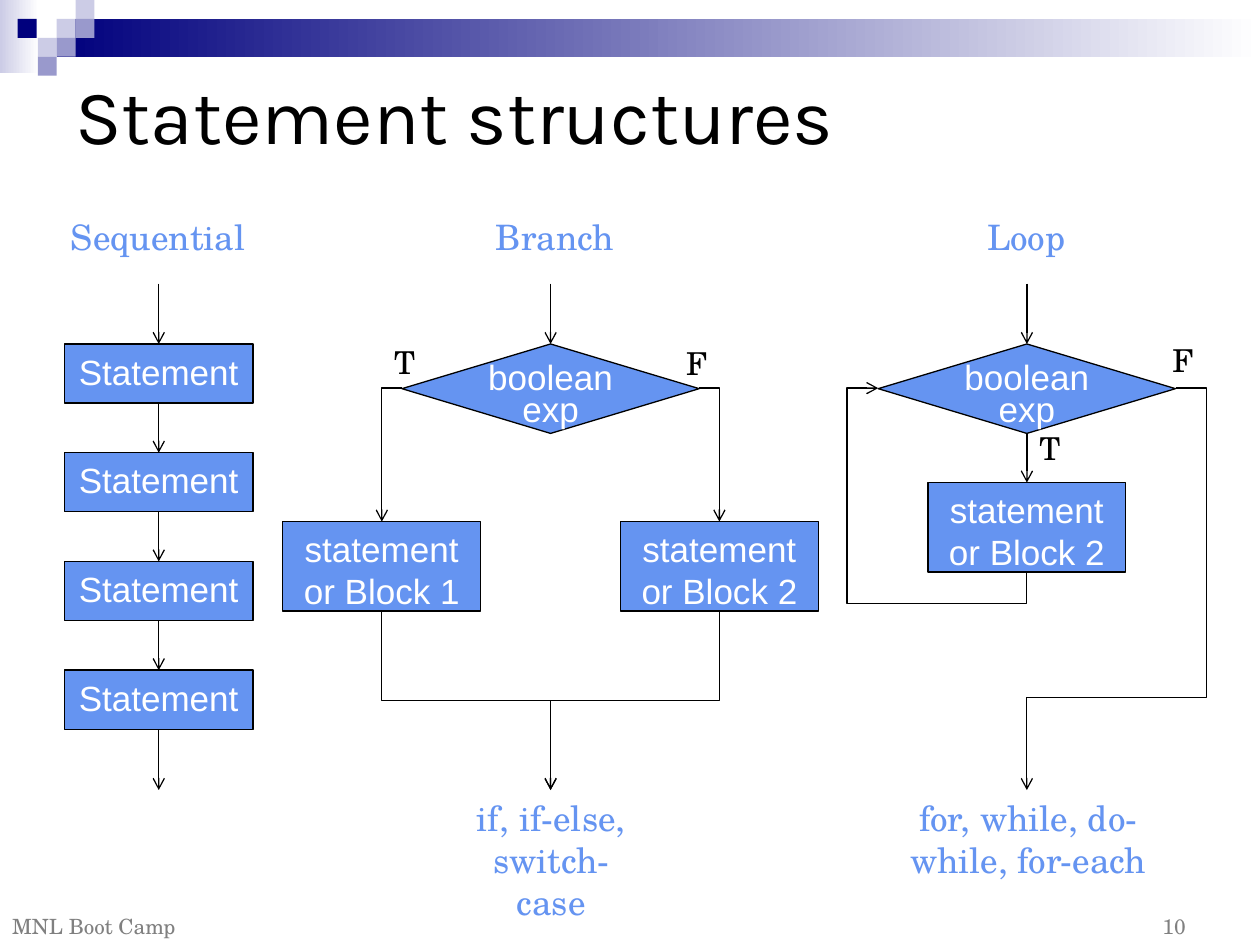
from lxml import etree
from pptx import Presentation, util as u
from pptx.dml.color import RGBColor
from pptx.enum import shapes, text
from pptx.oxml.ns import qn

THEME = {
    "blue": "6594F1", "black": "000000", "white": "FFFFFF", "grey": "808080",
    "navy": "00007D", "lilac": "CCCCE6", "violet": "9999CC",
    "title": 44, "body": 20, "label": 18, "footer": 12, "line": 0.75,
    "head_font": "Karla", "text_font": "TeX Gyre Schola", "box_font": "Arial",
}
LEFT, CENTER, RIGHT = text.PP_ALIGN.LEFT, text.PP_ALIGN.CENTER, text.PP_ALIGN.RIGHT
TOP, MIDDLE, BOTTOM = text.MSO_ANCHOR.TOP, text.MSO_ANCHOR.MIDDLE, text.MSO_ANCHOR.BOTTOM
RECT, DECISION = shapes.MSO_SHAPE.RECTANGLE, shapes.MSO_SHAPE.FLOWCHART_DECISION

# Column centres and shared heights of the three flowcharts
SEQ_X, BRANCH_X, LOOP_X = 1.26, 4.37, 8.15
ENTRY_Y, FIRST_Y, EXIT_Y = 2.25, 2.73, 6.27
STATEMENT = {"text": "Statement;", "count": 4, "w": 1.5, "h": 0.47, "step": 0.863}
BLOCK_W, BLOCK_H, DECISION_W = 1.57, 0.71, 2.36

GRADIENT_BARS = [((0, 0, 0.31, 0.58), "lilac"), ((0.45, 0.15, 9.55, 0.3), "navy")]
TILE = 0.15
TILES = [(0.45, 0.15, "lilac"), (0.6, 0, "lilac"), (0.6, 0.15, "violet"),
         (0.3, 0.3, "lilac"), (0.14, 0.15, "navy"), (0.45, 0.3, "violet"),
         (0.3, 0.45, "violet")]

DECISIONS = [(BRANCH_X, "boolean exp"), (LOOP_X, "boolean exp")]
BLOCKS = [(3.03, 4.14, "statement or Block 1"), (5.71, 4.14, "statement or Block 2"),
          (LOOP_X, 3.83, "statement or Block 2")]

# bends, box before rotation, rotation, flip, adjustments
ELBOWS = [
    (2, (3.03, 3.08, 0.16, 1.06), 180, "flipV", ()),
    (2, (5.55, 3.08, 0.16, 1.06), 0, None, ()),
    (3, (2.99, 4.89, 1.42, 1.34), 270, "flipH", (0.5,)),
    (3, (4.33, 4.89, 1.42, 1.34), 90, None, (0.5,)),
    (4, (6.83, 3.22, 1.46, 1.18), 90, "flipH", (-0.17, 1.21)),
    (4, (8.15, 3.08, 1.18, 3.19), 0, "flipH", (-0.21, 0.77)),
]

# text, box, size, colour, alignment, anchor
TEXTS = [
    ("Statement structures", (0.5, 0.5, 9, 0.81), "title", "black", LEFT, MIDDLE),
    ("MNL Boot Camp", (-0.04, 7.14, 1.57, 0.36), "footer", "grey", CENTER, BOTTOM),
    ("10", (7.18, 7.15, 2.33, 0.35), "footer", "grey", RIGHT, BOTTOM),
    ("T", (3.03, 2.67, 0.55, 0.4), "label", "black", LEFT, TOP),
    ("F", (5.16, 2.68, 0.55, 0.4), "label", "black", RIGHT, TOP),
    ("T", (8.15, 3.36, 0.55, 0.4), "label", "black", LEFT, TOP),
    ("F", (9.02, 2.66, 0.55, 0.4), "label", "black", RIGHT, TOP),
    ("Sequential", (0.43, 1.66, 1.65, 0.44), "body", "blue", CENTER, TOP),
    ("Branch", (3.58, 1.66, 1.65, 0.44), "body", "blue", CENTER, TOP),
    ("Loop", (7.32, 1.66, 1.65, 0.44), "body", "blue", CENTER, TOP),
    ("if, if-else, switch-case", (3.55, EXIT_Y, 1.65, 0.77), "body", "blue", CENTER, TOP),
    ("for, while, do-while, for-each", (7.02, EXIT_Y, 2.28, 0.77), "body", "blue", CENTER, TOP),
]


def rgb(name):
    return RGBColor.from_string(THEME[name])


def inches(values):
    return [u.Inches(v) for v in values]


def write(sp, words, size, colour, font, align, anchor):
    tf = sp.text_frame
    tf.word_wrap = True
    tf.vertical_anchor = anchor
    p = tf.paragraphs[0]
    p.alignment = align
    r = p.add_run()
    r.text = words
    r.font.size = u.Pt(THEME[size])
    r.font.name = THEME[font]
    r.font.color.rgb = rgb(colour)
    return tf


def add_plain(s, box, colour, kind=RECT):
    sp = s.shapes.add_shape(kind, *inches(box))
    sp.shadow.inherit = False
    sp.fill.solid()
    sp.fill.fore_color.rgb = rgb(colour)
    sp.line.fill.background()
    return sp


def add_gradient(s, box, colour):
    sp = add_plain(s, box, colour)
    sp.fill.gradient()
    sp.fill.gradient_angle = 0
    for stop, name, position in zip(sp.fill.gradient_stops, (colour, "white"), (0, 1)):
        stop.color.rgb = rgb(name)
        stop.position = position


def add_node(s, center_x, top, w, h, words, kind=RECT):
    sp = add_plain(s, (center_x - w / 2, top, w, h), "blue", kind)
    sp.line.color.rgb = rgb("black")
    sp.line.width = u.Pt(THEME["line"])
    tf = write(sp, words, "body", "white", "box_font", CENTER, TOP)
    if kind == DECISION:
        tf.margin_left = tf.margin_top = tf.margin_right = tf.margin_bottom = 0
        tf.paragraphs[0].line_spacing = u.Pt(18)


def add_arrow(s, x1, y1, x2, y2, kind=shapes.MSO_CONNECTOR.STRAIGHT):
    c = s.shapes.add_connector(kind, *inches((x1, y1, x2, y2)))
    c.line.color.rgb = rgb("black")
    c.line.width = u.Pt(THEME["line"])
    etree.SubElement(c.line._get_or_add_ln(), qn("a:tailEnd"), type="arrow")
    etree.SubElement(c._element.spPr, qn("a:effectLst"))
    return c


def add_elbow(s, bends, box, rotation, flip, adjustments):
    x, y, w, h = box
    c = add_arrow(s, x, y, x + w, y + h, shapes.MSO_CONNECTOR.ELBOW)
    xfrm = c._element.spPr.find(qn("a:xfrm"))
    xfrm.set("rot", str(rotation * 60000))
    if flip:
        xfrm.set(flip, "1")
    geom = c._element.spPr.find(qn("a:prstGeom"))
    geom.set("prst", f"bentConnector{bends}")
    guides = geom.find(qn("a:avLst"))
    if guides is None:
        guides = etree.SubElement(geom, qn("a:avLst"))
    for i, value in enumerate(adjustments, 1):
        etree.SubElement(guides, qn("a:gd"), name=f"adj{i}",
                         fmla=f"val {round(value * 100000)}")


def main():
    prs = Presentation()
    prs.slide_width, prs.slide_height = inches((10, 7.5))
    s = prs.slides.add_slide(prs.slide_layouts[6])

    for box, colour in GRADIENT_BARS:
        add_gradient(s, box, colour)
    for x, y, colour in TILES:
        add_plain(s, (x, y, TILE, TILE), colour)

    bottom = ENTRY_Y
    for i in range(STATEMENT["count"]):
        top = FIRST_Y + i * STATEMENT["step"]
        add_node(s, SEQ_X, top, STATEMENT["w"], STATEMENT["h"], STATEMENT["text"])
        add_arrow(s, SEQ_X, bottom, SEQ_X, top)
        bottom = top + STATEMENT["h"]
    add_arrow(s, SEQ_X, bottom, SEQ_X, EXIT_Y)

    for x, words in DECISIONS:
        add_node(s, x, FIRST_Y, DECISION_W, BLOCK_H, words, DECISION)
        add_arrow(s, x, ENTRY_Y, x, FIRST_Y)
    for x, top, words in BLOCKS:
        add_node(s, x, top, BLOCK_W, BLOCK_H, words)
    add_arrow(s, LOOP_X, FIRST_Y + BLOCK_H, LOOP_X, 3.83)
    for elbow in ELBOWS:
        add_elbow(s, *elbow)

    for words, box, size, colour, align, anchor in TEXTS:
        font = "head_font" if size == "title" else "text_font"
        write(s.shapes.add_textbox(*inches(box)), words, size, colour, font, align, anchor)

    prs.save("out.pptx")


if __name__ == "__main__":
    main()
